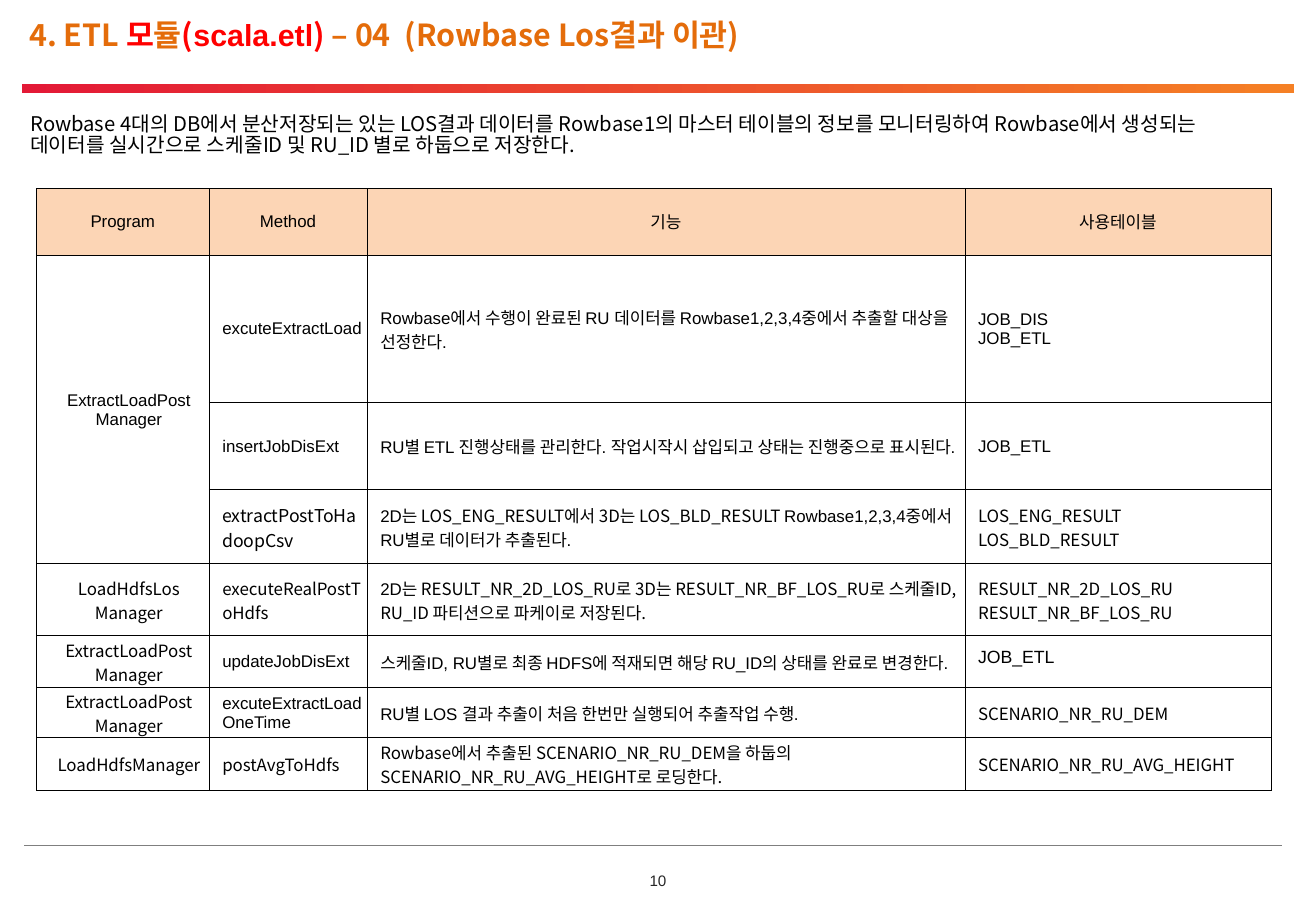
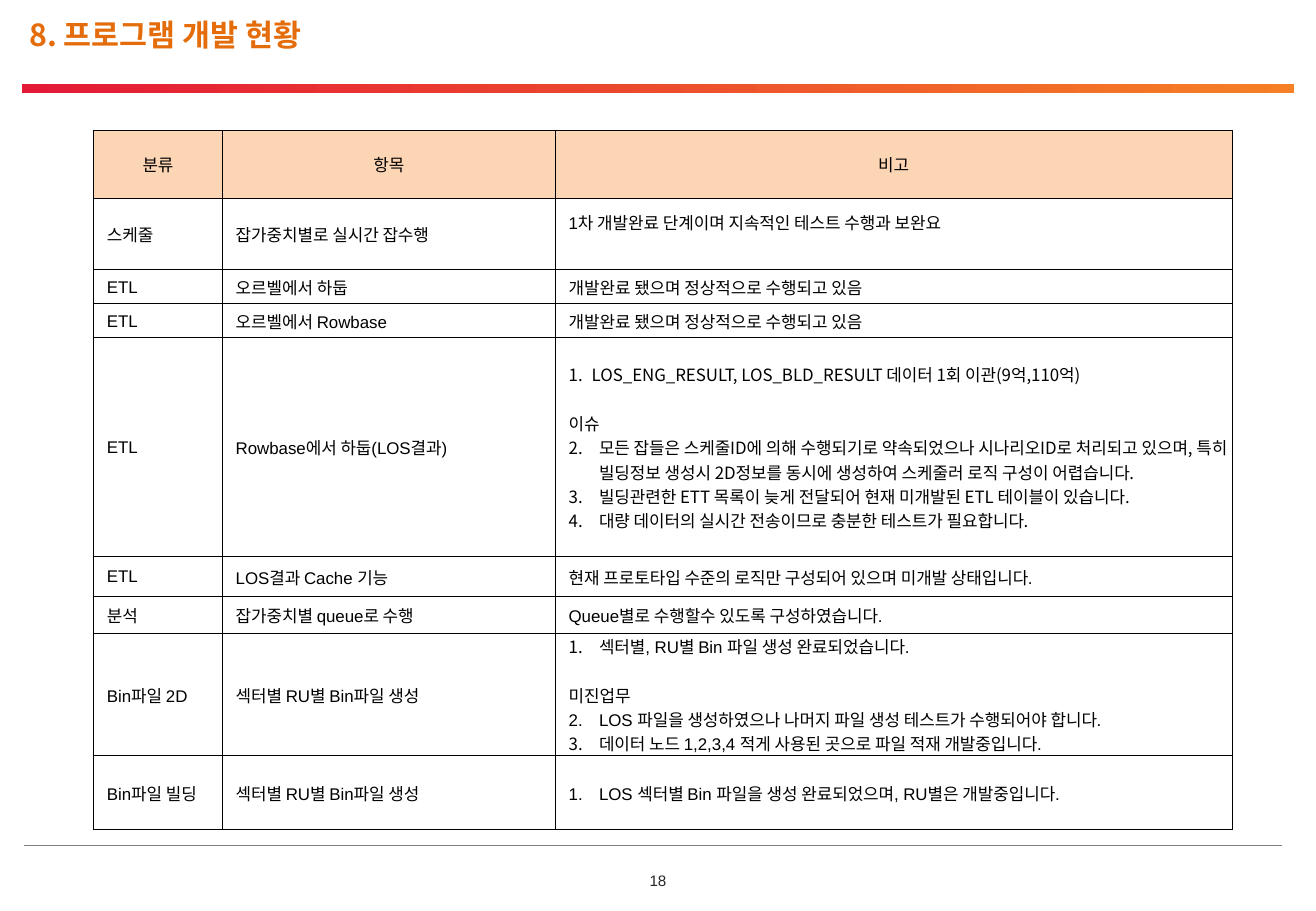
from lxml import etree
from pptx import Presentation
from pptx.dml.color import RGBColor
from pptx.enum import shapes, text
from pptx.oxml import ns
from pptx.util import Inches, Pt

# Shared look
ARIAL, NOTO = "Arial", "Noto Sans CJK KR"
ORANGE, RED, BLACK, PEACH = "E46C0A", "FF0000", "000000", "FCD5B5"
BAND_COLOURS = ("E31936", "F58025")
RULE_GRAY, NUMBER_GRAY = "7F7F7F", "262626"
WIDTH, HEIGHT = 10.83, 7.5
TITLE_BOX = (0.14, 0.13, 10.53, 0.46)
INTRO_BOX = (0.15, 0.9, 10.38, 0.57)
BLANK_LINE = 14.4

# Content: in a cell, "|" switches between Arial and Noto, "#" starts a
# numbered paragraph, "^" adds a line of space after the paragraph
MIGRATION = {
    "number": "10",
    "title": [("4. ETL ", ORANGE, NOTO), ("모", RED, NOTO), ("듈", ORANGE, NOTO),
              ("(", RED, NOTO), ("scala.etl", RED, ARIAL), (") ", RED, NOTO),
              ("– 04  (Rowbase Los결과 이관)", ORANGE, NOTO)],
    "intro": "Rowbase 4대의 DB에서 분산저장되는 있는 LOS결과 데이터를 Rowbase1의 마스터 테이블의 "
             "정보를 모니터링하여 Rowbase에서 생성되는 데이터를 실시간으로 스케줄ID 및 RU_ID 별로 "
             "하둡으로 저장한다.",
    "origin": (0.3, 1.55),
    "columns": (1.42, 1.3, 4.92, 2.52),
    "heights": (0.55, 1.21, 0.72, 0.61, 0.59, 0.43, 0.4, 0.44),
    "rows": [
        ("Program", "Method", "기능", "사용테이블"),
        ("ExtractLoadPost\nManager", "excuteExtractLoad",
         "Rowbase에서 수행이 완료된 RU 데이터를 Rowbase1,2,3,4중에서 추출할 대상을 선정한다.",
         "JOB_DIS\nJOB_ETL"),
        (None, "insertJobDisExt",
         "RU별 ETL 진행상태를 관리한다. 작업시작시 삽입되고 상태는 진행중으로 표시된다.", "JOB_ETL"),
        (None, "|extractPostToHadoopCsv",
         "2D는 |LOS_ENG_RESULT에서 3D는 LOS_BLD_RESULT |"
         "Rowbase1,2,3,4중에서 RU별로 데이터가 추출된다.",
         "|LOS_ENG_RESULT\n|LOS_BLD_RESULT"),
        ("|LoadHdfsLos\n|Manager", "|executeRealPostToHdfs",
         "2D는 |RESULT_NR_2D_LOS_RU로 3D는 RESULT_NR_BF_LOS_RU로 "
         "스케줄ID, RU_ID 파티션으로 파케이로 저장된다.",
         "|RESULT_NR_2D_LOS_RU\n|RESULT_NR_BF_LOS_RU"),
        ("|ExtractLoadPost\n|Manager", "updateJobDisExt",
         "스케줄ID, RU별로 최종 HDFS에 적재되면 해당 RU_ID의 상태를 완료로 변경한다.", "JOB_ETL"),
        ("|ExtractLoadPost\n|Manager", "excuteExtractLoadOneTime",
         "RU별 LOS 결과 추출이 처음 한번만 실행되어 추출작업 수행.", "|SCENARIO_NR_RU_DEM"),
        ("|LoadHdfsManager", "|postAvgToHdfs",
         "|Rowbase에서 추출된 SCENARIO_NR_RU_DEM을 하둡의 SCENARIO_NR_RU_AVG_HEIGHT로 로딩한다.",
         "|SCENARIO_NR_RU_AVG_HEIGHT"),
    ],
    "merge": ((1, 0), (3, 0)),
    "centred": {0},
    "sizes": {(3, 1): 10.5, (5, 3): 10.5},
    "raised": {(5, 3): 0.08},
}
STATUS = {
    "number": "18",
    "title": [("8. 프로그램 개발 현황", ORANGE, NOTO)],
    "origin": (0.77, 1.07),
    "columns": (1.06, 2.74, 5.57),
    "heights": (0.56, 0.59, 0.28, 0.28, 1.8, 0.33, 0.3, 1.01, 0.61),
    "rows": [
        ("분류", "항목", "비고"),
        ("스케줄", "잡가중치별로 실시간 잡수행", "1차 개발완료 단계이며 지속적인 테스트 수행과 보완요"),
        ("ETL", "오르벨에서 하둡", "개발완료 됐으며 정상적으로 수행되고 있음"),
        ("ETL", "오르벨에서 Rowbase", "개발완료 됐으며 정상적으로 수행되고 있음"),
        ("ETL", "Rowbase에서 하둡(LOS결과)",
         "#^|LOS_ENG_RESULT, LOS_BLD_RESULT 데이터 1회 이관(9억,110억)\n"
         "|이슈\n"
         "#|모든 잡들은 스케줄ID에 의해 수행되기로 약속되었으나 시나리오ID로 처리되고 있으며, "
         "특히 빌딩정보 생성시 2D정보를 동시에 생성하여 스케줄러 로직 구성이 어렵습니다.\n"
         "#|빌딩관련한 ETT 목록이 늦게 전달되어 현재 미개발된 ETL 테이블이 있습니다.\n"
         "#|대량 데이터의 실시간 전송이므로 충분한 테스트가 필요합니다."),
        ("ETL", "LOS결과 Cache 기능", "현재 프로토타입 수준의 로직만 구성되어 있으며 미개발 상태입니다."),
        ("분석", "잡가중치별 queue로 수행", "Queue별로 수행할수 있도록 구성하였습니다."),
        ("Bin파일 2D", "섹터별 RU별 Bin파일 생성",
         "#^섹터별, RU별 Bin 파일 생성 완료되었습니다.\n"
         "미진업무\n"
         "#LOS 파일을 생성하였으나 나머지 파일 생성 테스트가 수행되어야 합니다.\n"
         "#데이터 노드 1,2,3,4 적게 사용된 곳으로 파일 적재 개발중입니다."),
        ("Bin파일 빌딩", "섹터별 RU별 Bin파일 생성",
         "#LOS 섹터별 Bin 파일을 생성 완료되었으며, RU별은 개발중입니다."),
    ],
    "raised": {(1, 2): 0.2},
}


def rgb(colour):
    return RGBColor.from_string(colour)


def inches(lengths):
    return [Inches(length) for length in lengths]


def assign(target, values):
    for key, value in values.items():
        setattr(target, key, value)


def child(parent, tag, **attributes):
    return etree.SubElement(parent, ns.qn(tag), attributes)


def add_run(paragraph, words, size, face=ARIAL, colour=BLACK, bold=False):
    run = paragraph.add_run()
    run.text = words
    assign(run.font, {"size": Pt(size), "name": face, "bold": bold})
    run.font.color.rgb = rgb(colour)
    child(run.font._element, "a:ea", typeface=NOTO)


def set_indent(paragraph, left, first, numbered=False):
    props = paragraph._p.get_or_add_pPr()
    props.set("marL", str(Inches(left)))
    props.set("indent", str(Inches(first)))
    if numbered:
        child(props, "a:buFont", typeface="+mj-lt")
        child(props, "a:buAutoNum", type="arabicPeriod")
    else:
        child(props, "a:buNone")


def fill_placeholder(holder, box, runs, size, bold=False):
    assign(holder, dict(zip(("left", "top", "width", "height"), inches(box))))
    frame = holder.text_frame
    assign(frame, {"word_wrap": True, "auto_size": text.MSO_AUTO_SIZE.NONE,
                   "vertical_anchor": text.MSO_ANCHOR.TOP})
    paragraph = frame.paragraphs[0]
    assign(paragraph, {"alignment": text.PP_ALIGN.LEFT, "line_spacing": 0.85,
                       "space_before": Pt(0)})
    set_indent(paragraph, 0, 0)
    for words, colour, face in runs:
        add_run(paragraph, words, size, face, colour, bold)


def fill_cell(cell, content, size, header, centred):
    for index, line in enumerate(content.split("\n")):
        frame = cell.text_frame
        paragraph = frame.add_paragraph() if index else frame.paragraphs[0]
        numbered, spaced = line.startswith("#"), "^" in line
        if header or centred:
            paragraph.alignment = text.PP_ALIGN.CENTER
        if header:
            paragraph.line_spacing = 0.9
        else:
            if spaced:
                paragraph.space_after = Pt(BLANK_LINE)
            # A spaced Noto item has a tighter hanging indent
            hang = 0.19 if spaced and "|" in line else 0.25
            set_indent(paragraph, 0.1 + hang * numbered, -hang * numbered, numbered)
        for turn, words in enumerate(line.lstrip("#^").split("|")):
            if words:
                add_run(paragraph, words, size, (ARIAL, NOTO)[turn % 2])


def add_borders(cell):
    props = cell._tc.get_or_add_tcPr()
    for side in ("a:lnL", "a:lnR", "a:lnT", "a:lnB"):
        edge = child(props, side, w=str(Pt(0.25)))
        child(child(edge, "a:solidFill"), "a:srgbClr", val=BLACK)


def add_grid(slide, content):
    columns, heights, rows = content["columns"], content["heights"], content["rows"]
    grid = slide.shapes.add_table(
        len(rows), len(columns),
        *inches((*content["origin"], sum(columns), sum(heights)))).table
    assign(grid, {"first_row": False, "horz_banding": False})
    for column, width in zip(grid.columns, columns):
        column.width = Inches(width)
    for row, height in zip(grid.rows, heights):
        row.height = Inches(height)
    if "merge" in content:
        first, last = content["merge"]
        grid.cell(*first).merge(grid.cell(*last))
    for r, row in enumerate(rows):
        for c, words in enumerate(row):
            cell = grid.cell(r, c)
            bottom = content.get("raised", {}).get((r, c), 0)
            assign(cell, {"margin_left": Inches(0.01), "margin_right": Inches(0.01),
                          "margin_top": Inches(0.01), "margin_bottom": Inches(bottom),
                          "vertical_anchor": text.MSO_ANCHOR.MIDDLE})
            add_borders(cell)
            if r == 0:
                cell.fill.solid()
                cell.fill.fore_color.rgb = rgb(PEACH)
            else:
                cell.fill.background()
            if words:
                size = content.get("sizes", {}).get((r, c), 10)
                fill_cell(cell, words, size, r == 0, c in content.get("centred", ()))


def add_frame_to_layout(slide, layout):
    # Gradient band and footer rule, drawn once and moved to the layout
    band = slide.shapes.add_shape(shapes.MSO_SHAPE.RECTANGLE,
                                  *inches((0.18, 0.69, 10.47, 0.08)))
    band.shadow.inherit = False
    band.line.fill.background()
    band.fill.gradient()
    band.fill.gradient_angle = 0
    for stop, colour in zip(band.fill.gradient_stops, BAND_COLOURS):
        stop.color.rgb = rgb(colour)
    rule = slide.shapes.add_connector(shapes.MSO_CONNECTOR.STRAIGHT,
                                      *inches((0.2, 6.96, 10.55, 6.96)))
    rule.line.width = Pt(0.75)
    rule.line.color.rgb = rgb(RULE_GRAY)
    child(rule.element.spPr, "a:effectLst")
    for part in (band, rule):
        layout.shapes.element.append(part.element)


def add_page_number(slide, number):
    frame = slide.shapes.add_textbox(*inches((5.1, 7.17, 0.63, 0.16))).text_frame
    assign(frame, {"margin_left": 0, "margin_right": 0, "margin_top": 0,
                   "margin_bottom": 0, "word_wrap": True,
                   "vertical_anchor": text.MSO_ANCHOR.MIDDLE})
    frame.paragraphs[0].alignment = text.PP_ALIGN.CENTER
    add_run(frame.paragraphs[0], number, 9, colour=NUMBER_GRAY)


def main():
    deck = Presentation()
    assign(deck, {"slide_width": Inches(WIDTH), "slide_height": Inches(HEIGHT)})
    layout = deck.slide_layouts[1]
    for index, content in enumerate((MIGRATION, STATUS)):
        slide = deck.slides.add_slide(layout)
        if index == 0:
            add_frame_to_layout(slide, layout)
        fill_placeholder(slide.shapes.title, TITLE_BOX, content["title"], 18, True)
        intro = slide.placeholders[1]
        if "intro" in content:
            fill_placeholder(intro, INTRO_BOX, [(content["intro"], BLACK, NOTO)], 12)
        else:
            intro.element.getparent().remove(intro.element)
        add_grid(slide, content)
        add_page_number(slide, content["number"])
    deck.save("out.pptx")


if __name__ == "__main__":
    main()
